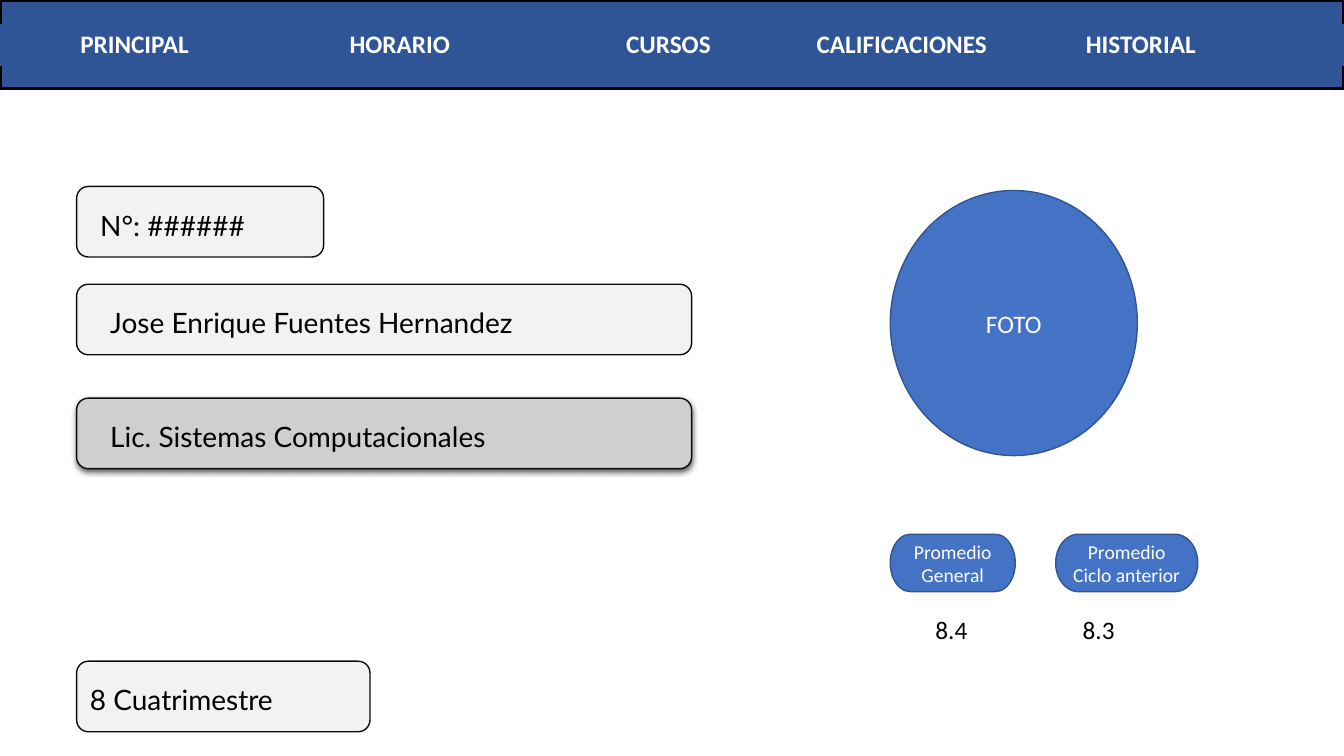
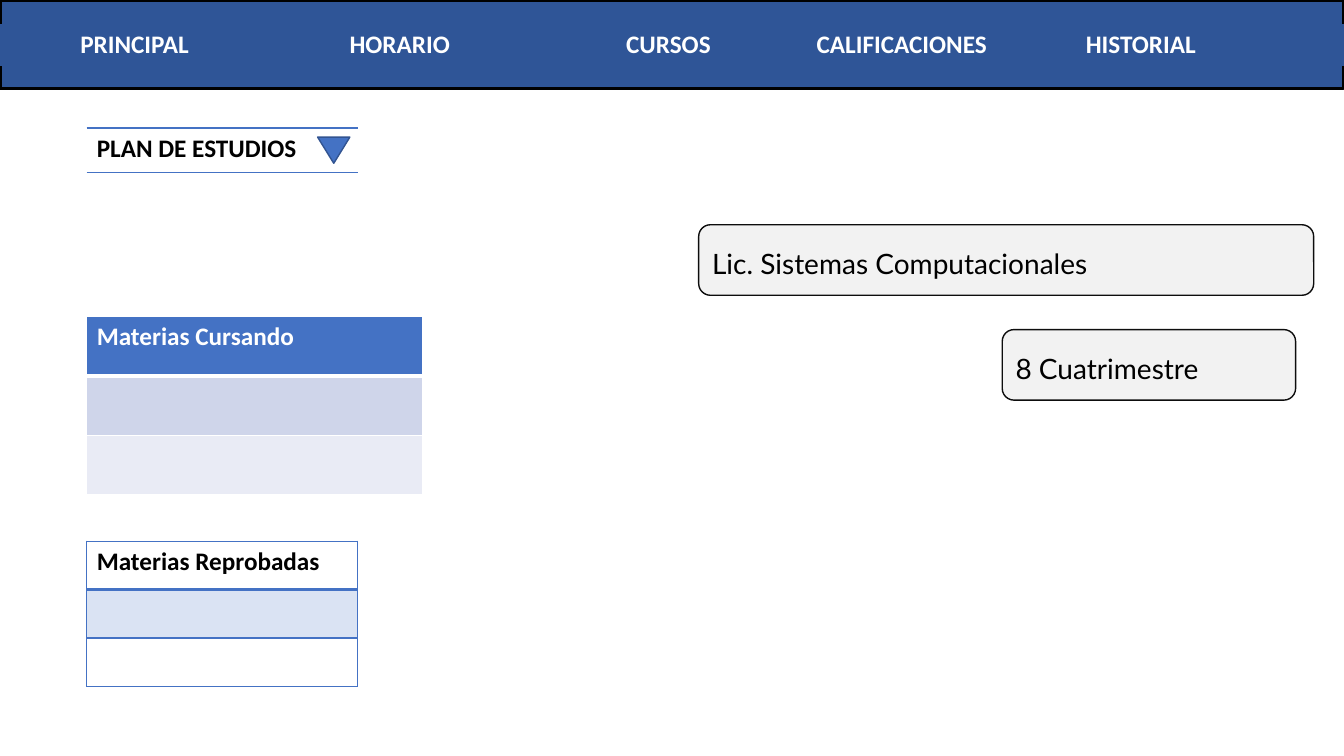
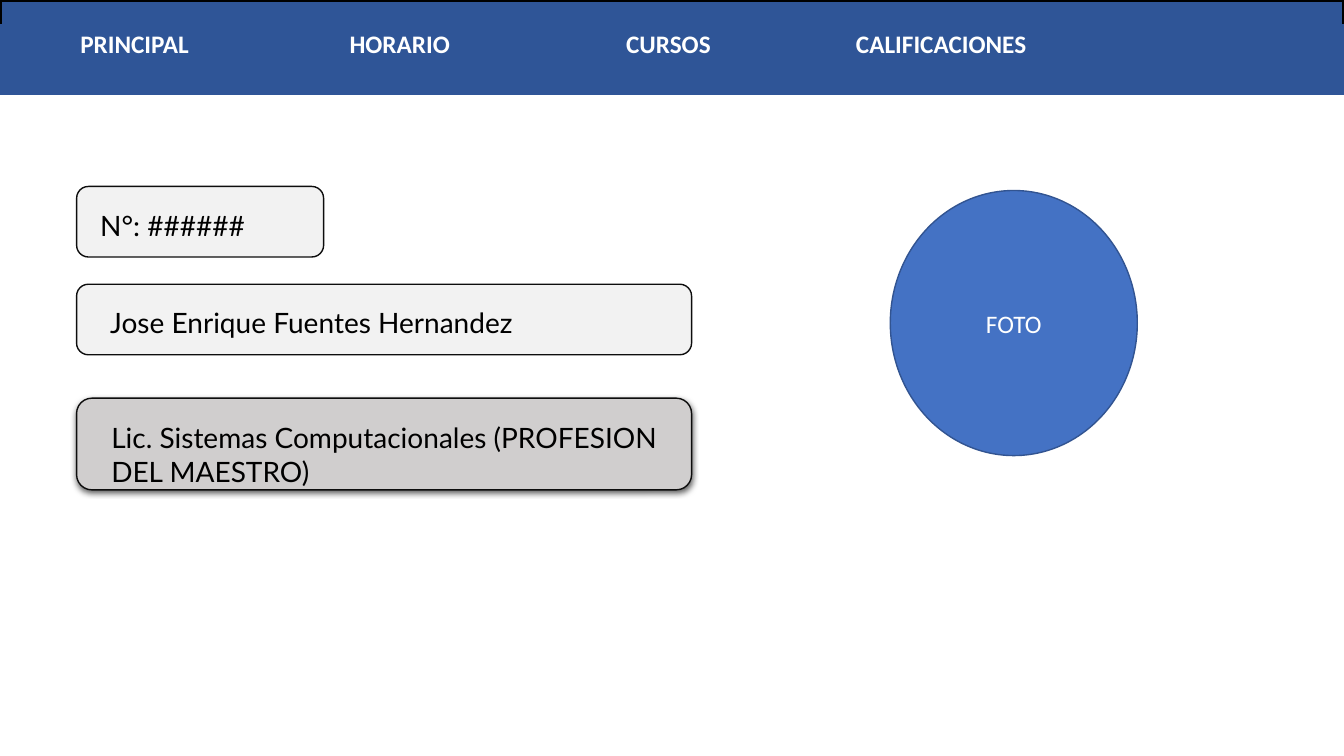
from lxml.etree import SubElement
from pptx import Presentation
from pptx.dml.color import RGBColor
from pptx.enum.shapes import MSO_SHAPE
from pptx.enum.text import MSO_ANCHOR, PP_ALIGN
from pptx.oxml.ns import qn
from pptx.util import Emu, Pt

EMU_PER_PX = 9144
SLIDE_WIDTH, SLIDE_HEIGHT = 1333, 750
NO_STYLE = "{2D5ABB26-0587-4C30-8999-92F81FD0307C}"

NAVY, BLUE, DARK_BLUE = "2F5597", "4472C4", "325491"
LIGHT_GREY, MID_GREY, OUTLINE = "F2F2F2", "D0CECE", "0D0D0D"
WHITE, BLACK = "FFFFFF", "000000"
BODY_FONT, FIELD_FONT = "Calibri", "Lato"

MENU = ["PRINCIPAL", "HORARIO", "CURSOS", "CALIFICACIONES", "HISTORIAL"]
MENU_WIDTHS = [267, 259, 274, 267, 266]
FIELD_HEIGHT = 70
DEGREE = "Lic. Sistemas Computacionales"
TERM = "8 Cuatrimestre"


def px(length):
    return Emu(length * EMU_PER_PX)


def color(hex_string):
    return RGBColor.from_string(hex_string)


def format_text(frame, text, size, text_color, font=BODY_FONT, bold=False,
                align=PP_ALIGN.LEFT):
    paragraph = frame.paragraphs[0]
    paragraph.text = text
    paragraph.alignment = align
    paragraph.font.name = font
    paragraph.font.size = Pt(size)
    paragraph.font.bold = bold
    paragraph.font.color.rgb = color(text_color)


def add_box(slide, kind, box, fill, line, line_width=1):
    shape = slide.shapes.add_shape(kind, *map(px, box))
    shape.shadow.inherit = False
    shape.fill.solid()
    shape.fill.fore_color.rgb = color(fill)
    shape.line.color.rgb = color(line)
    shape.line.width = Pt(line_width)
    return shape


def add_soft_shadow(shape):
    effects = shape._element.spPr.find(qn("a:effectLst"))
    shadow = SubElement(effects, qn("a:outerShdw"), blurRad="57150",
                        dist="19050", dir="5400000", algn="ctr", rotWithShape="0")
    black = SubElement(shadow, qn("a:srgbClr"), val=BLACK)
    SubElement(black, qn("a:alpha"), val="63000")


def add_field(slide, text, left, top, width, height=FIELD_HEIGHT, indent=10,
              fill=LIGHT_GREY):
    """Rounded box with its text set in from the left edge."""
    shape = add_box(slide, MSO_SHAPE.ROUNDED_RECTANGLE,
                    (left, top, width, height), fill, OUTLINE)
    frame = shape.text_frame
    frame.vertical_anchor = MSO_ANCHOR.TOP
    frame.margin_left, frame.margin_top = px(indent), px(18)
    frame.margin_bottom = 0
    format_text(frame, text, 20, BLACK, FIELD_FONT)
    return shape


def add_blue_label(slide, kind, text, size, box):
    shape = add_box(slide, kind, box, BLUE, DARK_BLUE)
    shape.text_frame.vertical_anchor = MSO_ANCHOR.MIDDLE
    format_text(shape.text_frame, text, size, WHITE, align=PP_ALIGN.CENTER)


def add_plain_table(slide, left, top, widths, heights):
    frame = slide.shapes.add_table(len(heights), len(widths), px(left), px(top),
                                   px(sum(widths)), px(sum(heights)))
    table = frame.table
    table._tbl.tblPr.find(qn("a:tableStyleId")).text = NO_STYLE
    table.first_row = table.horz_banding = False
    for column, width in zip(table.columns, widths):
        column.width = px(width)
    for row, height in zip(table.rows, heights):
        row.height = px(height)
    return table


def set_borders(cell, line_color, **widths):
    """Draw the sides named L, R, T and B, with widths in points."""
    properties = cell._tc.get_or_add_tcPr()
    for side in "LRTB":
        if side in widths:
            line = SubElement(properties, qn(f"a:ln{side}"), w=str(Pt(widths[side])))
            fill = SubElement(line, qn("a:solidFill"))
            SubElement(fill, qn("a:srgbClr"), val=line_color)


def fill_cell(cell, fill):
    cell.fill.solid()
    cell.fill.fore_color.rgb = color(fill)


def add_header(slide, menu, left_aligned=(), row_height=41):
    add_box(slide, MSO_SHAPE.RECTANGLE, (0, 0, SLIDE_WIDTH, 88), NAVY, BLACK, 2.25)
    table = add_plain_table(slide, 0, 24, MENU_WIDTHS, [row_height])
    for cell, label in zip(table.rows[0].cells, menu):
        fill_cell(cell, NAVY)
        align = PP_ALIGN.LEFT if label in left_aligned else PP_ALIGN.CENTER
        format_text(cell.text_frame, label, 18, WHITE, bold=True, align=align)


def add_list_table(slide, title, left, top, width, row_height, fills,
                   title_color, line_color, title_rule):
    """One-column list: a title row, then empty rows."""
    table = add_plain_table(slide, left, top, [width], [row_height] * len(fills))
    for index, fill in enumerate(fills):
        cell = table.cell(index, 0)
        set_borders(cell, line_color, L=1, R=1,
                    T=title_rule if index == 1 else 1,
                    B=title_rule if index == 0 else 1)
        fill_cell(cell, fill)
    format_text(table.cell(0, 0).text_frame, title, 18, title_color, bold=True)


def add_study_plan_menu(slide, left, top):
    width, height = 269, 44
    cell = add_plain_table(slide, left, top, [width], [height]).cell(0, 0)
    set_borders(cell, BLUE, T=1, B=1)
    format_text(cell.text_frame, "PLAN DE ESTUDIOS", 18, BLACK, bold=True)
    arrow = add_box(slide, MSO_SHAPE.ISOSCELES_TRIANGLE,
                    (left + 229, top + 9, 32, 26), BLUE, DARK_BLUE)
    arrow.rotation = 180


def add_profile(slide, profession, profession_height=FIELD_HEIGHT):
    left, width = 76, 610
    add_field(slide, "N°: ######", left, 185, 245, indent=20)
    add_field(slide, "Jose Enrique Fuentes Hernandez", left, 282, width, indent=30)
    add_soft_shadow(add_field(slide, profession, left, 395, width,
                              profession_height, 30, MID_GREY))
    add_blue_label(slide, MSO_SHAPE.OVAL, "FOTO", 18, (883, 189, 245, 263))


def add_average(slide, label, value, left, top, width, value_indent):
    add_blue_label(slide, MSO_SHAPE.FLOWCHART_TERMINATOR, label, 14,
                   (left, top, width, 57))
    text_box = slide.shapes.add_textbox(px(left + value_indent), px(top + 75),
                                        px(54), px(40))
    text_box.text_frame.word_wrap = True
    format_text(text_box.text_frame, value, 18, BLACK)


def build_student_slide(slide):
    add_header(slide, MENU, MENU[3:])
    add_profile(slide, DEGREE)
    add_average(slide, "Promedio General", "8.4", 883, 530, 124, 35)
    add_average(slide, "Promedio Ciclo anterior", "8.3", 1047, 530, 141, 17)
    add_field(slide, TERM, 76, 656, 291)


def build_courses_slide(slide):
    add_header(slide, MENU, MENU[3:])
    add_field(slide, DEGREE, 693, 223, 610)
    add_field(slide, TERM, 994, 327, 291)
    left = 86
    add_study_plan_menu(slide, left, 127)
    add_list_table(slide, "Materias Cursando", left, 314, 333, 59,
                   [BLUE, "CFD5EA", "E9EBF5"], WHITE, WHITE, 3)
    add_list_table(slide, "Materias Reprobadas", left, 537, 269, 48,
                   [WHITE, "DAE3F3", WHITE], BLACK, BLUE, 2)


def build_teacher_slide(slide):
    add_header(slide, MENU[:4] + [""], row_height=70)
    add_profile(slide, f"{DEGREE} (PROFESION DEL MAESTRO)", 91)


def main():
    presentation = Presentation()
    presentation.slide_width = px(SLIDE_WIDTH)
    presentation.slide_height = px(SLIDE_HEIGHT)
    blank = presentation.slide_layouts[6]
    for build in (build_student_slide, build_courses_slide, build_teacher_slide):
        build(presentation.slides.add_slide(blank))
    presentation.save("out.pptx")


if __name__ == "__main__":
    main()
